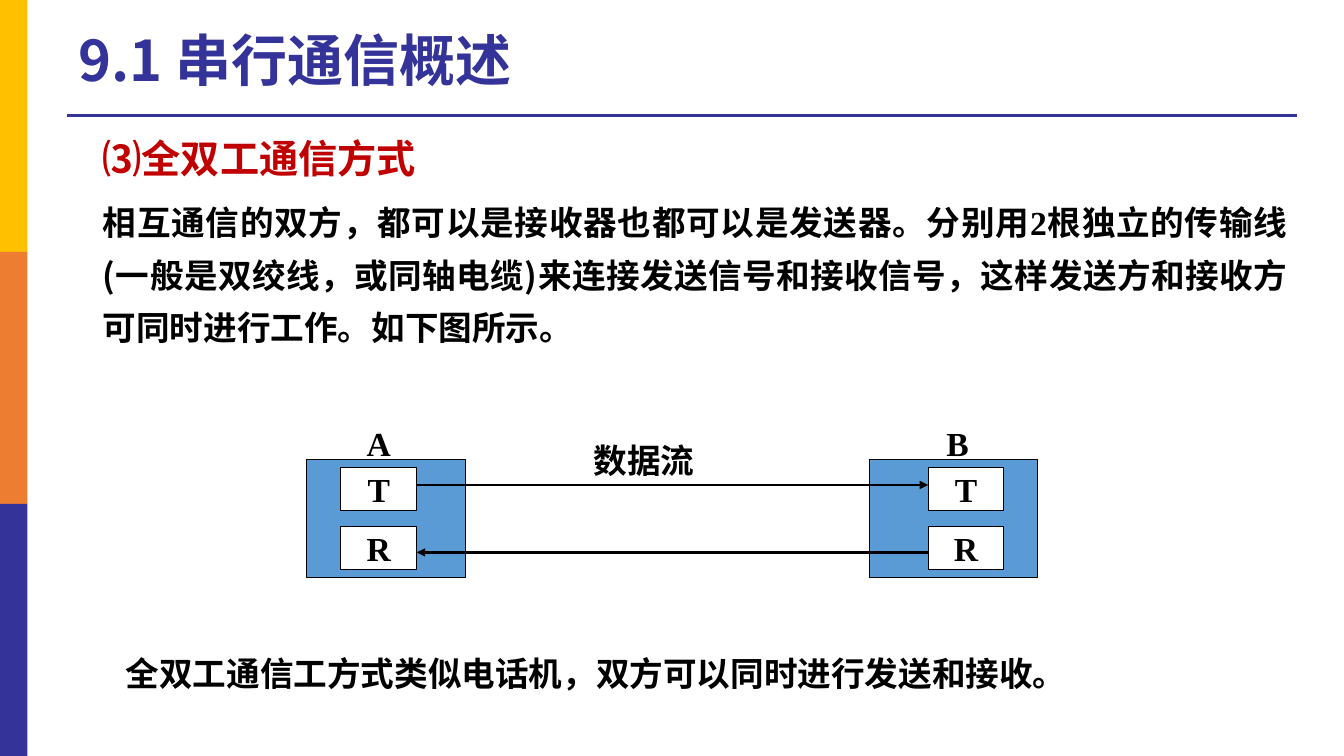
from dataclasses import dataclass

from lxml.etree import SubElement
from pptx import Presentation
from pptx.dml.color import RGBColor
from pptx.enum.shapes import MSO_CONNECTOR as Connector, MSO_SHAPE as Shape
from pptx.enum.text import MSO_ANCHOR as Anchor, PP_ALIGN as Align
from pptx.oxml.ns import qn
from pptx.util import Cm, Pt


@dataclass(frozen=True)
class Theme:
    navy: str = "333399"
    yellow: str = "FFC000"
    orange: str = "ED7D31"
    red: str = "C00000"
    blue: str = "5B9BD5"
    black: str = "000000"
    white: str = "FFFFFF"
    title_size: int = 40
    heading_size: int = 28
    text_size: int = 24
    chinese: str = "Noto Sans CJK SC"
    latin: str = "Times New Roman"


theme = Theme()


def format_run(run, size, color, latin=theme.latin):
    """Make a run bold, with its Latin font and the Chinese font beside it."""
    font = run.font
    font.size, font.bold, font.name = Pt(size), True, latin
    font.color.rgb = RGBColor.from_string(color)
    SubElement(font._element, qn("a:ea"), typeface=theme.chinese)


def add_box(left, top, width, height, fill, text=""):
    box = slide.shapes.add_shape(Shape.RECTANGLE, Cm(left), Cm(top), Cm(width), Cm(height))
    box.shadow.inherit = False
    box.fill.solid()
    box.fill.fore_color.rgb = RGBColor.from_string(fill)
    box.line.width = Pt(0.75)
    box.line.color.rgb = RGBColor.from_string(theme.black)
    if text:
        frame = box.text_frame
        frame.word_wrap = False
        frame.vertical_anchor = Anchor.MIDDLE
        frame.text = text
        frame.paragraphs[0].alignment = Align.CENTER
        format_run(frame.paragraphs[0].runs[0], theme.text_size, theme.black)
    return box


presentation = Presentation()
presentation.slide_width, presentation.slide_height = Cm(33.87), Cm(19.05)
slide = presentation.slides.add_slide(presentation.slide_layouts[5])

# Side band
band_height = 19.05 / 3
for index, color in enumerate((theme.yellow, theme.orange, theme.navy)):
    add_box(0, index * band_height, 0.69, band_height, color).line.fill.background()

# Title
title = slide.shapes.title
title.left, title.top, title.width, title.height = Cm(1.73), Cm(0.71), Cm(25.17), Cm(2.21)
title.text_frame.text = "9.1 串行通信概述"
title.text_frame.vertical_anchor = Anchor.TOP
paragraph = title.text_frame.paragraphs[0]
paragraph.alignment, paragraph.line_spacing = Align.LEFT, 0.9
format_run(paragraph.runs[0], theme.title_size, theme.navy, theme.chinese)

# Explanation
explanation = slide.shapes.add_textbox(Cm(1.7), Cm(3.15), Cm(30.99), Cm(13.72)).text_frame
explanation.word_wrap = True
heading = explanation.paragraphs[0]
heading.text = "⑶全双工通信方式"
heading.line_spacing = 1.1
format_run(heading.runs[0], theme.heading_size, theme.red, theme.chinese)

body = explanation.add_paragraph()
body.alignment, body.line_spacing, body.space_before = Align.JUSTIFY, 1.3, Pt(6)
for text, latin in (
    ("相互通信的双方，都可以是接收器也都可以是发送器。分别用", theme.chinese),
    ("2", theme.latin),
    ("根独立的传输线(一般是双绞线，或同轴电缆)来连接发送信号和接收信号，"
     "这样发送方和接收方可同时进行工作。如下图所示。", theme.chinese),
):
    run = body.add_run()
    run.text = text
    format_run(run, theme.text_size, theme.black, latin)
for paragraph in explanation.paragraphs:
    paragraph._p.get_or_add_pPr().set("marL", str(Cm(0.64)))

# Stations A and B, each with a transmitter and a receiver
left_unit, right_unit, unit_width = 8.59, 23.39, 1.91
for station_left, station_width, unit_left in (
    (7.72, 4.01, left_unit),
    (21.92, 4.24, right_unit),
):
    add_box(station_left, 11.58, station_width, 2.97, theme.blue)
    for unit, top in (("T", 11.79), ("R", 13.28)):
        add_box(unit_left, top, unit_width, 1.07, theme.white, unit)

# Labels and closing sentence
for text, left, top, width, latin, wrap in (
    ("A", 8.99, 10.52, 1.12, theme.latin, False),
    ("B", 23.6, 10.52, 1.07, theme.latin, False),
    ("数据流", 14.71, 10.95, 3.05, theme.chinese, False),
    ("全双工通信工方式类似电话机，双方可以同时进行发送和接收。",
     2.92, 16.33, 29.21, theme.latin, True),
):
    frame = slide.shapes.add_textbox(Cm(left), Cm(top), Cm(width), Cm(1.27)).text_frame
    frame.word_wrap = wrap
    frame.text = text
    format_run(frame.paragraphs[0].runs[0], theme.text_size, theme.black, latin)

# Title rule and data flow arrows
flow_left = left_unit + unit_width
for start, end, y, color, width, arrow in (
    (1.7, 32.69, 2.92, theme.navy, 2.25, False),
    (flow_left, right_unit, 12.22, theme.black, 2, True),
    (right_unit, flow_left, 13.92, theme.black, 2, True),
):
    line = slide.shapes.add_connector(Connector.STRAIGHT, Cm(start), Cm(y), Cm(end), Cm(y))
    line.line.width = Pt(width)
    line.line.color.rgb = RGBColor.from_string(color)
    if arrow:
        SubElement(line.line._get_or_add_ln(), qn("a:tailEnd"), type="triangle")
    SubElement(line._element.spPr, qn("a:effectLst"))

presentation.save("out.pptx")
